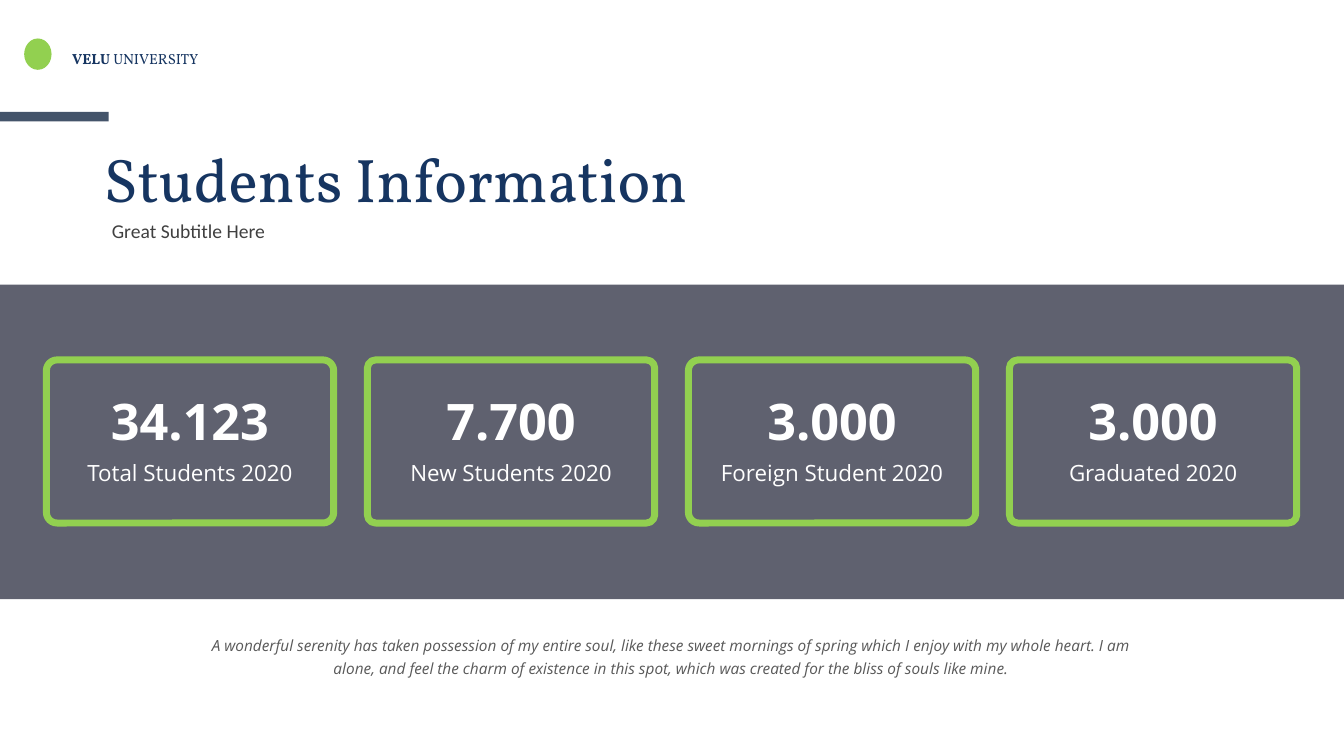
from dataclasses import dataclass

from lxml.etree import SubElement
from pptx import Presentation
from pptx.dml.color import RGBColor
from pptx.enum.shapes import MSO_SHAPE
from pptx.enum.text import MSO_ANCHOR, MSO_AUTO_SIZE, PP_ALIGN
from pptx.oxml.ns import qn
from pptx.util import Cm, Pt


@dataclass(frozen=True)
class Theme:
    """Colours, fonts and type sizes of the slide."""
    navy: str = "163561"
    night: str = "1C1F33"
    slate: str = "44546A"
    green: str = "92D050"
    white: str = "FFFFFF"
    dark: str = "404040"
    grey: str = "595959"
    serif: str = "Vollkorn"
    sans: str = "Open Sans"
    plain: str = "Calibri"
    title: float = 44
    figure: float = 36
    label: float = 16
    sub: float = 14
    quote: float = 11
    brand: float = 10.5


class Board:
    """Holds the theme and the current slide, and draws on it."""

    def __init__(self, deck, theme):
        """Add a blank slide to the deck."""
        self.theme = theme
        self.slide = deck.slides.add_slide(deck.slide_layouts[6])

    def shape(self, kind, box, fill=None, line=None, alpha=None, round=None):
        """Draw a preset shape with a flat fill or a thick outline."""
        item = self.slide.shapes.add_shape(kind, *map(Cm, box))
        item.shadow.inherit = False
        if round is not None:
            item.adjustments[0] = round
        if fill:
            item.fill.solid()
            item.fill.fore_color.rgb = RGBColor.from_string(fill)
        else:
            item.fill.background()
        if line:
            item.line.color.rgb = RGBColor.from_string(line)
            item.line.width = Pt(5)
        else:
            item.line.fill.background()
        if alpha:
            tint = item.element.find(".//" + qn("a:srgbClr"))
            SubElement(tint, qn("a:alpha"), val=str(alpha * 1000))

    def text(self, box, runs, font, size, color, align=PP_ALIGN.LEFT,
             anchor=MSO_ANCHOR.TOP, space=None, before=None, grow=False):
        """Write one paragraph from (words, bold, italic) runs."""
        frame = self.slide.shapes.add_textbox(*map(Cm, box)).text_frame
        frame.word_wrap = True
        frame.vertical_anchor = anchor
        if grow:
            frame.auto_size = MSO_AUTO_SIZE.SHAPE_TO_FIT_TEXT
        para = frame.paragraphs[0]
        para.alignment = align
        if space:
            para.line_spacing = space
        if before:
            para.space_before = Pt(before)
        for words, bold, slant in runs:
            run = para.add_run()
            run.text = words
            run.font.name, run.font.size = font, Pt(size)
            run.font.bold, run.font.italic = bold, slant
            run.font.color.rgb = RGBColor.from_string(color)

    def card(self, left, round, figure, label):
        """Draw an outlined card with a figure above its label."""
        look = self.theme
        self.shape(MSO_SHAPE.ROUNDED_RECTANGLE, (left, 9.07, 7.24, 4.11),
                   line=look.green, round=round)
        rows = ((9.88, 1.65, figure, look.figure, True),
                (11.53, 0.86, label, look.label, False))
        for top, high, words, size, bold in rows:
            self.text((left + 0.27, top, 6.7, high), [(words, bold, False)],
                      look.sans, size, look.white, PP_ALIGN.CENTER,
                      space=0.9, before=16)


def main():
    """Build the slide and save it."""
    deck = Presentation()
    deck.slide_width, deck.slide_height = Cm(33.87), Cm(19.05)
    look = Theme()
    board = Board(deck, look)

    board.shape(MSO_SHAPE.RECTANGLE, (0, 7.17, 33.87, 7.93),
                fill=look.night, alpha=70)
    board.text((2.36, 3.05, 18.54, 2.87),
               [("Students Information", False, False)],
               look.serif, look.title, look.navy, anchor=MSO_ANCHOR.MIDDLE)
    board.shape(MSO_SHAPE.RECTANGLE, (0, 2.82, 2.74, 0.24), fill=look.slate)
    board.text((1.57, 1.12, 3.84, 0.71),
               [("VELU ", True, False), ("UNIVERSITY", False, False)],
               look.serif, look.brand, look.navy, grow=True)
    board.shape(MSO_SHAPE.OVAL, (0.61, 0.97, 0.69, 0.79), fill=look.green)
    board.text((2.57, 5.38, 9.19, 0.86),
               [("Great Subtitle Here", False, False)],
               look.plain, look.sub, look.dark, grow=True)

    cards = (("34.123", "Total Students 2020"),
             ("7.700", "New Students 2020"),
             ("3.000", "Foreign Student 2020"),
             ("3.000", "Graduated 2020"))
    for spot, (figure, label) in enumerate(cards):
        board.card(1.17 + 8.09 * spot, (0.065, 0.05)[spot % 2], figure, label)

    quote = ("A wonderful serenity has taken possession of my entire soul, "
             "like these sweet mornings of spring which I enjoy with my whole "
             "heart. I am alone, and feel the charm of existence in this spot, "
             "which was created for the bliss of souls like mine.")
    board.text((4.9, 15.82, 24.05, 1.35), [(quote, False, True)],
               look.sans, look.quote, look.grey, PP_ALIGN.CENTER,
               space=1.2, grow=True)
    deck.save("out.pptx")


if __name__ == "__main__":
    main()
